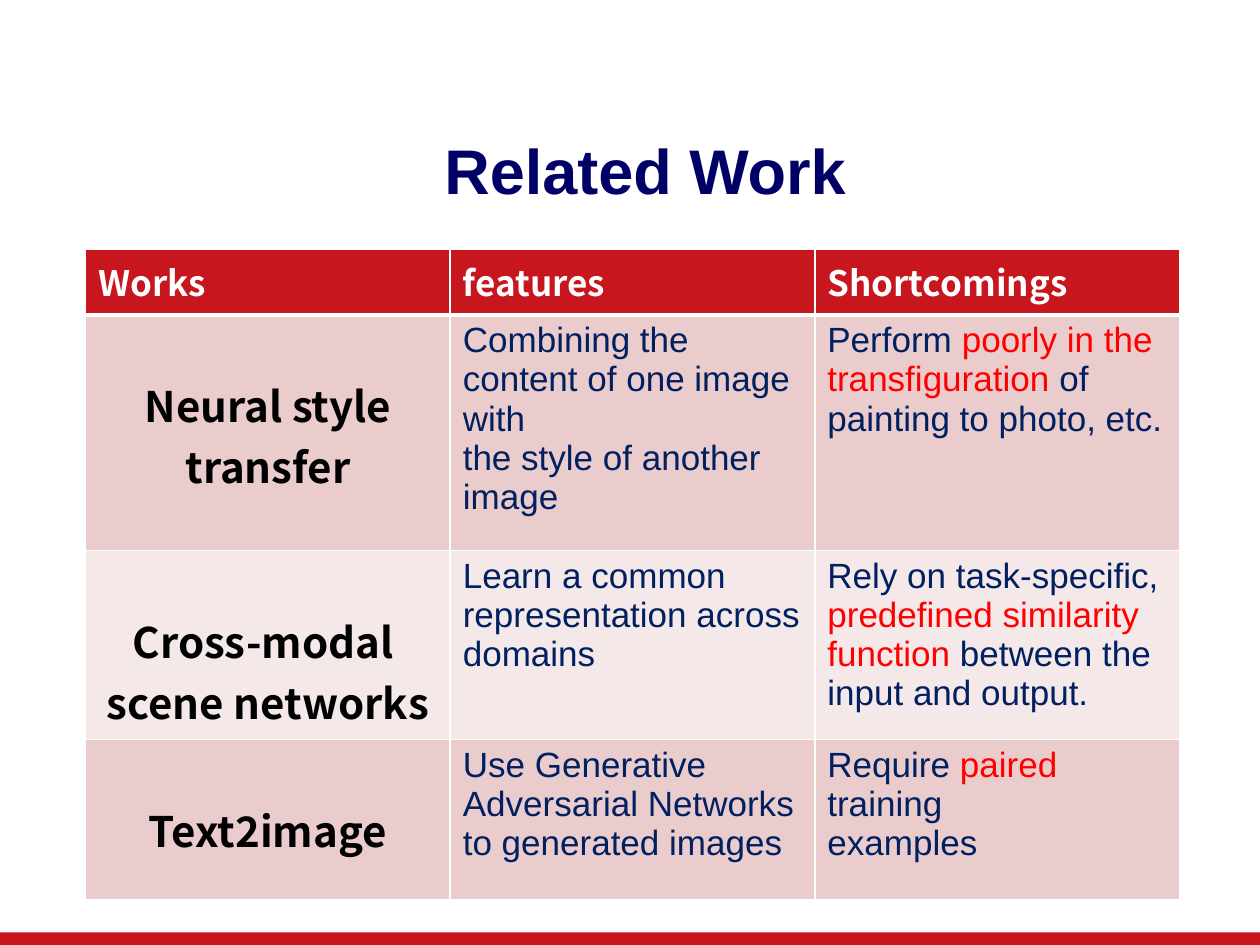
from lxml.etree import SubElement
from pptx import Presentation
from pptx.dml.color import RGBColor
from pptx.enum.shapes import MSO_SHAPE
from pptx.enum.text import MSO_ANCHOR, PP_ALIGN
from pptx.oxml.ns import qn
from pptx.util import Inches, Pt

HEADING_FONT, BODY_FONT = "Noto Sans CJK SC", "Arial"
NAVY, RED, WHITE, BLACK = "002060", "FF0000", "FFFFFF", "000000"
HEADER_FILL, BAND_FILLS = "C8161E", ("EBCCCD", "F5E8E8")

# Content: a cell is a list of paragraphs, a paragraph a list of (text, colour) runs
TITLE = "Related Work"
HEADERS = ["Works", "features", "Shortcomings"]
WORKS = [
    (
        [[("Neural style transfer", BLACK)]],
        [[("Combining the content of one image with", NAVY)],
         [("the style of another image", NAVY)]],
        [[("Perform ", NAVY), ("poorly in the transfiguration", RED),
          (" of painting to photo, etc.", NAVY)]],
    ),
    (
        [[("Cross-modal ", BLACK)], [("scene networks", BLACK)]],
        [[("Learn a common", NAVY)], [("representation across domains", NAVY)]],
        [[("Rely on task-specific, ", NAVY), ("predefined similarity function ", RED),
          ("between the input and output.", NAVY)]],
    ),
    (
        [[("Text2image", BLACK)]],
        [[("Use Generative Adversarial Networks to generated images", NAVY)]],
        [[("Require ", NAVY), ("paired", RED), (" training", NAVY)],
         [("examples", NAVY)]],
    ),
]
ROW_HEIGHTS = [0.52, 1.87, 1.5, 1.27]
TABLE_LEFT, TABLE_TOP, TABLE_WIDTH = 0.68, 1.98, 8.68
NAME_TOP_MARGIN = 0.47


def colour(value):
    return RGBColor.from_string(value)


def set_fill(target, value):
    target.fill.solid()
    target.fill.fore_color.rgb = colour(value)


def write(text_frame, paragraphs, size, font, bold=False, align=PP_ALIGN.LEFT):
    for index, runs in enumerate(paragraphs):
        paragraph = text_frame.add_paragraph() if index else text_frame.paragraphs[0]
        paragraph.alignment = align
        for text, value in runs:
            run = paragraph.add_run()
            run.text = text
            run.font.size, run.font.name, run.font.bold = Pt(size), font, bold
            run.font.color.rgb = colour(value)


def set_borders(cell, bottom_width):
    properties = cell._tc.get_or_add_tcPr()
    widths = {"a:lnL": 1, "a:lnR": 1, "a:lnT": 1, "a:lnB": bottom_width}
    for index, (tag, width) in enumerate(widths.items()):
        line = SubElement(properties, qn(tag), w=str(Pt(width)))
        SubElement(SubElement(line, qn("a:solidFill")), qn("a:srgbClr"), val=WHITE)
        properties.insert(index, line)  # borders come before the fill


presentation = Presentation()
presentation.slide_width, presentation.slide_height = Inches(10), Inches(7.5)
slide = presentation.slides.add_slide(presentation.slide_layouts[5])
set_fill(slide.background, WHITE)

# Footer band
band = slide.shapes.add_shape(
    MSO_SHAPE.RECTANGLE, Inches(0), Inches(7.4), Inches(10), Inches(0.1))
band.shadow.inherit = False
set_fill(band, "C9151E")
band.line.fill.background()

# Title
title = slide.shapes.title
title.left, title.top = Inches(0.54), Inches(1.07)
title.width, title.height = Inches(9.16), Inches(0.63)
title.text_frame.vertical_anchor = MSO_ANCHOR.MIDDLE
write(title.text_frame, [[(TITLE, "000066")]], 36, BODY_FONT, True, PP_ALIGN.CENTER)
title.text_frame.paragraphs[0].line_spacing = 0.9

# Table
table = slide.shapes.add_table(
    len(ROW_HEIGHTS), len(HEADERS), Inches(TABLE_LEFT), Inches(TABLE_TOP),
    Inches(TABLE_WIDTH), Inches(sum(ROW_HEIGHTS))).table
for row, height in zip(table.rows, ROW_HEIGHTS):
    row.height = Inches(height)
for column in table.columns:
    column.width = Inches(TABLE_WIDTH / len(HEADERS))

# Header row
for column_index, header in enumerate(HEADERS):
    cell = table.cell(0, column_index)
    set_fill(cell, HEADER_FILL)
    set_borders(cell, 3)
    write(cell.text_frame, [[(header, WHITE)]], 20, HEADING_FONT, True)

# Body rows
for row_index, work in enumerate(WORKS):
    for column_index, paragraphs in enumerate(work):
        cell = table.cell(row_index + 1, column_index)
        set_fill(cell, BAND_FILLS[row_index % 2])
        set_borders(cell, 1)
        if column_index == 0:
            cell.margin_top = Inches(NAME_TOP_MARGIN)
            write(cell.text_frame, paragraphs, 24, HEADING_FONT, True, PP_ALIGN.CENTER)
        else:
            write(cell.text_frame, paragraphs, 20, BODY_FONT)

presentation.save("out.pptx")
